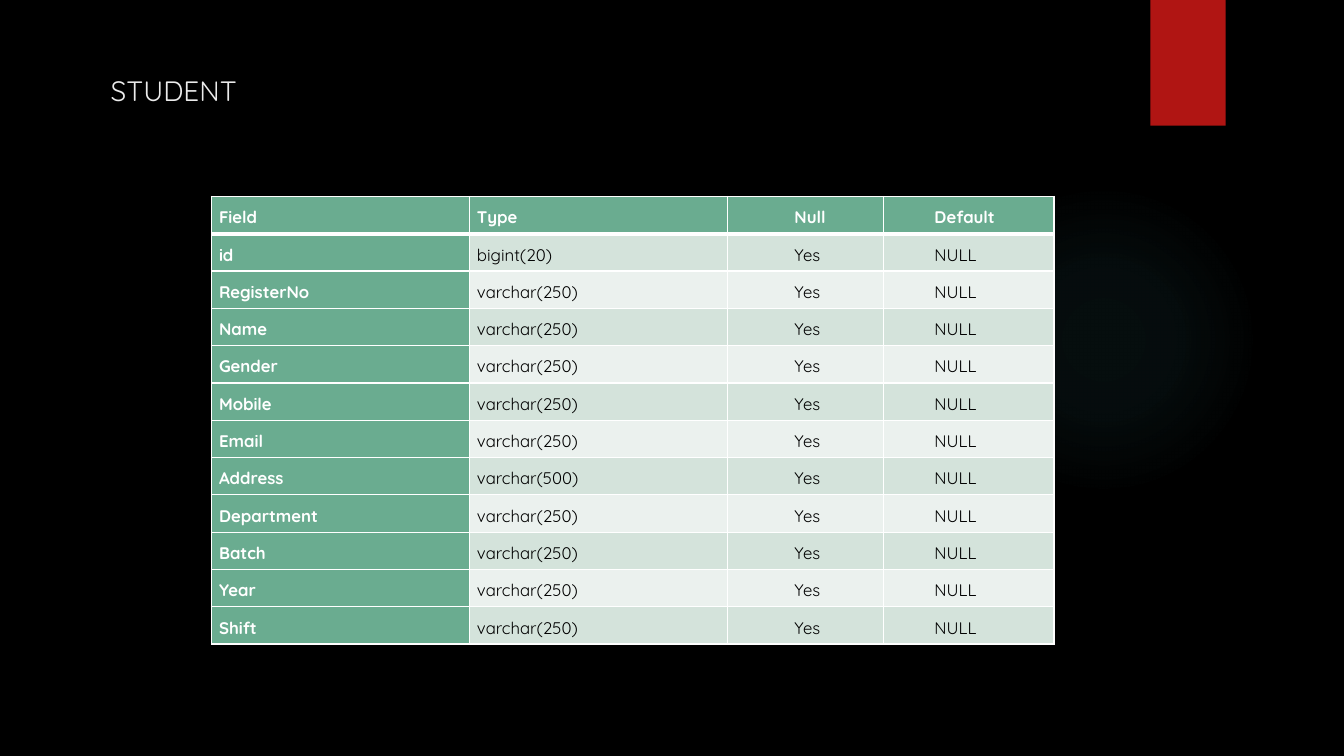
"""Build the slide that lists the fields of the STUDENT table."""
import lxml.etree
import pptx
import pptx.dml.color
import pptx.enum.shapes
import pptx.enum.text
import pptx.oxml
import pptx.oxml.ns
import pptx.util
from pptx.util import Cm

COLORS = {
    "background": "000000", "glow": "50B9C1", "ribbon": "B01513",
    "title": "EBEBEB", "heading": "6AAC90", "heading_text": "FFFFFF",
    "odd": "D4E3DB", "even": "EBF1EE", "body_text": "000000",
    "border": "FFFFFF",
}
FONT = "Quicksand"
HEADINGS = ("Field", "Type", "Null", "Default")
FIELDS = (
    ("id", "bigint(20)"), ("RegisterNo", "varchar(250)"),
    ("Name", "varchar(250)"), ("Gender", "varchar(250)"),
    ("Mobile", "varchar(250)"), ("Email", "varchar(250)"),
    ("Address", "varchar(500)"), ("Department", "varchar(250)"),
    ("Batch", "varchar(250)"), ("Year", "varchar(250)"),
    ("Shift", "varchar(250)"),
)
COLUMN_WIDTHS = (6.5, 6.5, 3.94, 4.29)
COLUMN_INDENTS = (0, 0, 1.5, 1.09)
ROW_HEIGHT = 0.94
GLOW_STOPS = ((0, 7), (36, 6), (69, 0))


def rgb(name):
    return pptx.dml.color.RGBColor.from_string(COLORS[name])


def style_run(run, size, color, bold=False):
    run.font.name = FONT
    run.font.size = pptx.util.Pt(size)
    run.font.bold = bold
    run.font.color.rgb = rgb(color)


def add_plain_shape(slide, kind, left, top, width, height, color):
    shape = slide.shapes.add_shape(kind, Cm(left), Cm(top), Cm(width), Cm(height))
    shape.shadow.inherit = False
    shape.line.fill.background()
    shape.fill.solid()
    shape.fill.fore_color.rgb = rgb(color)
    return shape


def add_glow(slide):
    oval = pptx.enum.shapes.MSO_SHAPE.OVAL
    glow = add_plain_shape(slide, oval, 23.9, 4.65, 7.82, 7.82, "glow")
    stops = "".join(
        f'<a:gs pos="{position * 1000}"><a:srgbClr val="{COLORS["glow"]}">'
        f'<a:alpha val="{opacity * 1000}"/></a:srgbClr></a:gs>'
        for position, opacity in GLOW_STOPS)
    gradient = pptx.oxml.parse_xml(
        f'<a:gradFill {pptx.oxml.ns.nsdecls("a")}><a:gsLst>{stops}</a:gsLst>'
        '<a:path path="circle"><a:fillToRect l="50000" t="50000" r="50000" '
        'b="50000"/></a:path></a:gradFill>')
    properties = glow.element.spPr
    solid = properties.find(pptx.oxml.ns.qn("a:solidFill"))
    properties.replace(solid, gradient)


def add_title(slide, text):
    title = slide.shapes.add_textbox(Cm(2.54), Cm(1.73), Cm(6.02), Cm(3.23))
    title.text_frame.word_wrap = True
    title.text_frame.text = text
    style_run(title.text_frame.paragraphs[0].runs[0], 20, "title")


def add_borders(cell, row):
    properties = cell._tc.get_or_add_tcPr()
    widths = {"L": 1, "R": 1, "T": 3 if row == 1 else 1, "B": 3 if row == 0 else 1}
    for side, points in widths.items():
        line = lxml.etree.SubElement(
            properties, pptx.oxml.ns.qn(f"a:ln{side}"), w=str(pptx.util.Pt(points)))
        fill = lxml.etree.SubElement(line, pptx.oxml.ns.qn("a:solidFill"))
        lxml.etree.SubElement(
            fill, pptx.oxml.ns.qn("a:srgbClr"), val=COLORS["border"])


def fill_cell(cell, text, row, column):
    is_heading = row == 0 or column == 0
    add_borders(cell, row)
    cell.fill.solid()
    cell.fill.fore_color.rgb = rgb(
        "heading" if is_heading else "odd" if row % 2 else "even")
    cell.margin_left = cell.margin_right = Cm(0.19)
    cell.margin_top = cell.margin_bottom = 0
    cell.text_frame.text = text
    paragraph = cell.text_frame.paragraphs[0]
    paragraph.alignment = pptx.enum.text.PP_ALIGN.JUSTIFY
    paragraph.line_spacing = 1.5
    paragraph.space_after = pptx.util.Pt(10)
    if COLUMN_INDENTS[column]:
        paragraph._p.get_or_add_pPr().set("marL", str(Cm(COLUMN_INDENTS[column])))
    style_run(paragraph.runs[0], 12,
              "heading_text" if is_heading else "body_text", is_heading)


def add_field_table(slide):
    records = [HEADINGS] + [(*field, "Yes", "NULL") for field in FIELDS]
    table = slide.shapes.add_table(
        len(records), len(HEADINGS), Cm(5.33), Cm(4.95),
        Cm(sum(COLUMN_WIDTHS)), Cm(ROW_HEIGHT * len(records))).table
    table.first_col = True
    for column, width in zip(table.columns, COLUMN_WIDTHS):
        column.width = Cm(width)
    for row, record in enumerate(records):
        table.rows[row].height = Cm(ROW_HEIGHT)
        for column, text in enumerate(record):
            fill_cell(table.cell(row, column), text, row, column)


def main():
    presentation = pptx.Presentation()
    presentation.slide_width = Cm(33.87)
    presentation.slide_height = Cm(19.05)
    slide = presentation.slides.add_slide(presentation.slide_layouts[6])
    slide.background.fill.solid()
    slide.background.fill.fore_color.rgb = rgb("background")
    add_glow(slide)
    rectangle = pptx.enum.shapes.MSO_SHAPE.RECTANGLE
    add_plain_shape(slide, rectangle, 28.99, 0, 1.9, 3.17, "ribbon")
    add_title(slide, "STUDENT")
    add_field_table(slide)
    presentation.save("out.pptx")


if __name__ == "__main__":
    main()
